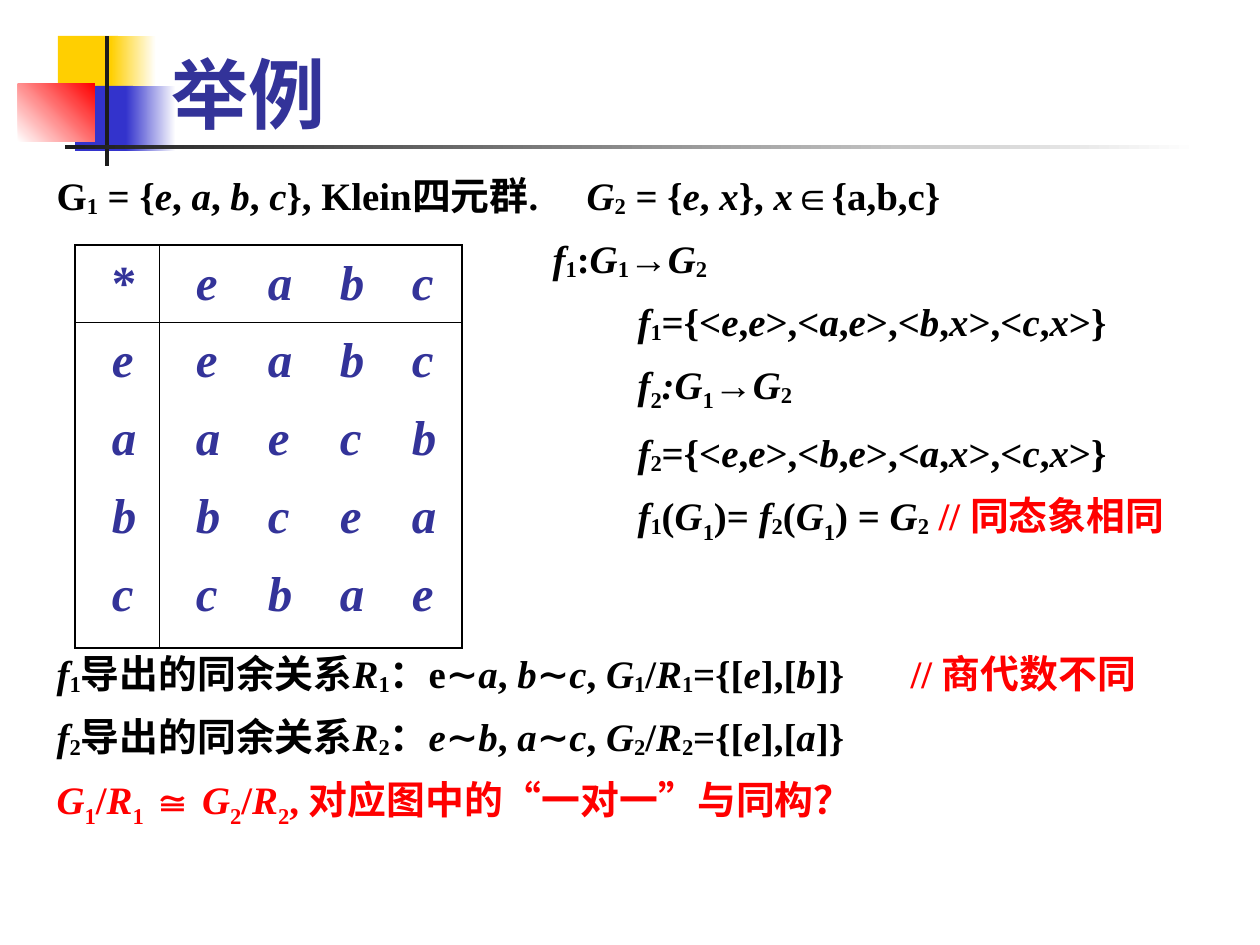
from itertools import groupby

from lxml import etree
from pptx import Presentation
from pptx.dml.color import RGBColor
from pptx.enum.shapes import MSO_SHAPE
from pptx.enum.text import MSO_ANCHOR, MSO_AUTO_SIZE, PP_ALIGN
from pptx.oxml.ns import qn
from pptx.util import Pt

RECTANGLE = MSO_SHAPE.RECTANGLE
BOTTOM, TOP = MSO_ANCHOR.BOTTOM, MSO_ANCHOR.TOP
NO_FIT = MSO_AUTO_SIZE.NONE
LEFT = PP_ALIGN.LEFT
PX = 914400 / 126
NAVY, RED, BLACK, WHITE = "333399", "FF0000", "000000", "FFFFFF"
YELLOW, BLUE, DARK = "FFCF01", "3333CC", "1C1C1C"
SERIF = "Times New Roman"


def color(value):
    return RGBColor.from_string(value)


def set_indent(para, indent, tab_step):
    """Drop the bullet; set left margin and tab spacing in px."""
    properties = para._p.get_or_add_pPr()
    properties.set("marL", str(int(indent * PX)))
    properties.set("indent", "0")
    properties.set("defTabSz", str(int(tab_step * PX)))
    etree.SubElement(properties, qn("a:buNone"))


deck = Presentation()
deck.slide_width, deck.slide_height = int(1260 * PX), int(945 * PX)
page = deck.slides.add_slide(deck.slide_layouts[1])
title, body = page.shapes.title, page.placeholders[1]

# Placeholder frames
for holder, frame, anchor in ((title, (159, 10, 1073, 135), BOTTOM),
                              (body, (44, 165, 1171, 753), TOP)):
    holder.left, holder.top, holder.width, holder.height = (int(v * PX) for v in frame)
    holder.text_frame.auto_size = NO_FIT
    holder.text_frame.vertical_anchor = anchor
    holder.text_frame.word_wrap = True

# Corner ornament and title rule, behind the text: frame, start, end, angle
ornament = [
    ((58, 36, 60, 65), YELLOW, YELLOW, 0),
    ((111, 36, 45, 65), YELLOW, WHITE, 0),
    ((75, 86, 58, 65), BLUE, BLUE, 0),
    ((126, 86, 50, 65), BLUE, WHITE, 0),
    ((18, 84, 77, 58), WHITE, RED, 45),
    ((105, 36, 4, 130), DARK, DARK, 0),
    ((65, 145, 1134, 4), DARK, WHITE, 0),
]
for frame, start, end, angle in ornament:
    block = page.shapes.add_shape(RECTANGLE, *(int(v * PX) for v in frame))
    block.shadow.inherit = False
    block.line.fill.background()
    if start == end:
        block.fill.solid()
        block.fill.fore_color.rgb = color(start)
    else:
        block.fill.gradient()
        block.fill.gradient_angle = angle
        for stop, value in zip(block.fill.gradient_stops, (start, end)):
            stop.color.rgb = color(value)
    title.element.addprevious(block.element)

# Title
para = title.text_frame.paragraphs[0]
para.alignment = LEFT
span = para.add_run()
span.text = "举例"
for name, value in {"name": "Roboto", "size": Pt(44), "bold": True}.items():
    setattr(span.font, name, value)
span.font.color.rgb = color(NAVY)

# Body lines: indent px, space before pt, tab spacing px, marked-up text
# Marks: * toggles italic, | turns red, _ and ^ put the next digit lower
lines = [
    (0, 0, 530, "G_1 = {*e*, *a*, *b*, *c*}, Klein四元群.\t*G*_2 = {*e*, *x*}, *x*∈{a,b,c}"),
    (496, 9, 126, "*f*_1:*G*_1→*G*_2"),
    (581, 9, 126, "*f*_1={<*e*,*e*>,<*a*,*e*>,<*b*,*x*>,<*c*,*x*>}"),
    (581, 9, 126, "*f*^2*:G*^1→*G*_2"),
    (581, 9, 126, "*f*_2={<*e*,*e*>,<*b*,*e*>,<*a*,*x*>,<*c*,*x*>}"),
    (581, 9, 126, "*f*_1(*G*^1)= *f*_2(*G*^1) = *G*_2 |// 同态象相同"),
    (0, 60, 854, "*f*_1导出的同余关系*R*_1：e∼*a*, *b*∼*c*, "
                  "*G*_1/*R*_1={[*e*],[*b*]}\t|// 商代数不同"),
    (0, 9, 126, "*f*_2导出的同余关系*R*_2：*e*∼*b*, *a*∼*c*, *G*_2/*R*_2={[*e*],[*a*]}"),
    (0, 9, 126, "|*G*^1/*R*^1 ≅ *G*^2/*R*^2, 对应图中的“一对一”与同构？"),
]
drops = {"_": "-10000", "^": "-25000"}
for number, (indent, before, tab_step, markup) in enumerate(lines):
    frame = body.text_frame
    para = frame.add_paragraph() if number else frame.paragraphs[0]
    set_indent(para, indent, tab_step)
    para.alignment = LEFT
    para.line_spacing = 1.0
    para.space_before = Pt(before)
    italic, ink, drop, letters = False, BLACK, "0", []
    for letter in markup:
        if letter == "*":
            italic = not italic
        elif letter == "|":
            ink = RED
        elif letter in drops:
            drop = drops[letter]
        else:
            face = "Arial" if letter == "∈" else SERIF
            letters.append((letter, (italic, ink, drop, face)))
            drop = "0"
    for (italic, ink, drop, face), group in groupby(letters, key=lambda item: item[1]):
        span = para.add_run()
        span.text = "".join(letter for letter, _ in group)
        style = {"name": face, "size": Pt(22.2), "bold": True, "italic": italic}
        for name, value in style.items():
            setattr(span.font, name, value)
        span.font.color.rgb = color(ink)
        if drop != "0":
            span._r.get_or_add_rPr().set("baseline", drop)

# Group operation table: header row, then all products in one row
widths, heights = (84, 303), (77, 326)
table = page.shapes.add_table(2, 2, int(75 * PX), int(245 * PX),
                              int(sum(widths) * PX), int(sum(heights) * PX)).table
table.first_row = table.horz_banding = False
for column, width in zip(table.columns, widths):
    column.width = int(width * PX)
for row, height in zip(table.rows, heights):
    row.height = int(height * PX)

elements = "eabc"
products = ["eabc", "aecb", "bcea", "cbae"]
contents = [["*"], [elements]], [list(elements), products]
for r, row_contents in enumerate(contents):
    for c, rows in enumerate(row_contents):
        cell = table.cell(r, c)
        cell.margin_left = int(37 * PX)
        outer = {"lnL": c == 0, "lnR": c == 1, "lnT": r == 0, "lnB": r == 1}
        for side, is_outer in outer.items():
            line = etree.SubElement(cell._tc.get_or_add_tcPr(), qn("a:" + side),
                                    w=str(Pt(1.08 if is_outer else 0.45)))
            fill = etree.SubElement(line, qn("a:solidFill"))
            etree.SubElement(fill, qn("a:srgbClr"), val=BLACK)
        cell.fill.background()
        for number, symbols in enumerate(rows):
            frame = cell.text_frame
            para = frame.add_paragraph() if number else frame.paragraphs[0]
            set_indent(para, 0, 72)
            para.line_spacing = 1.1
            para.space_before = Pt(10.5 if number else 0)
            span = para.add_run()
            span.text = "\t".join(symbols)
            style = {"name": SERIF, "size": Pt(28), "bold": True, "italic": symbols != "*"}
            for name, value in style.items():
                setattr(span.font, name, value)
            span.font.color.rgb = color(NAVY)

deck.save("out.pptx")
